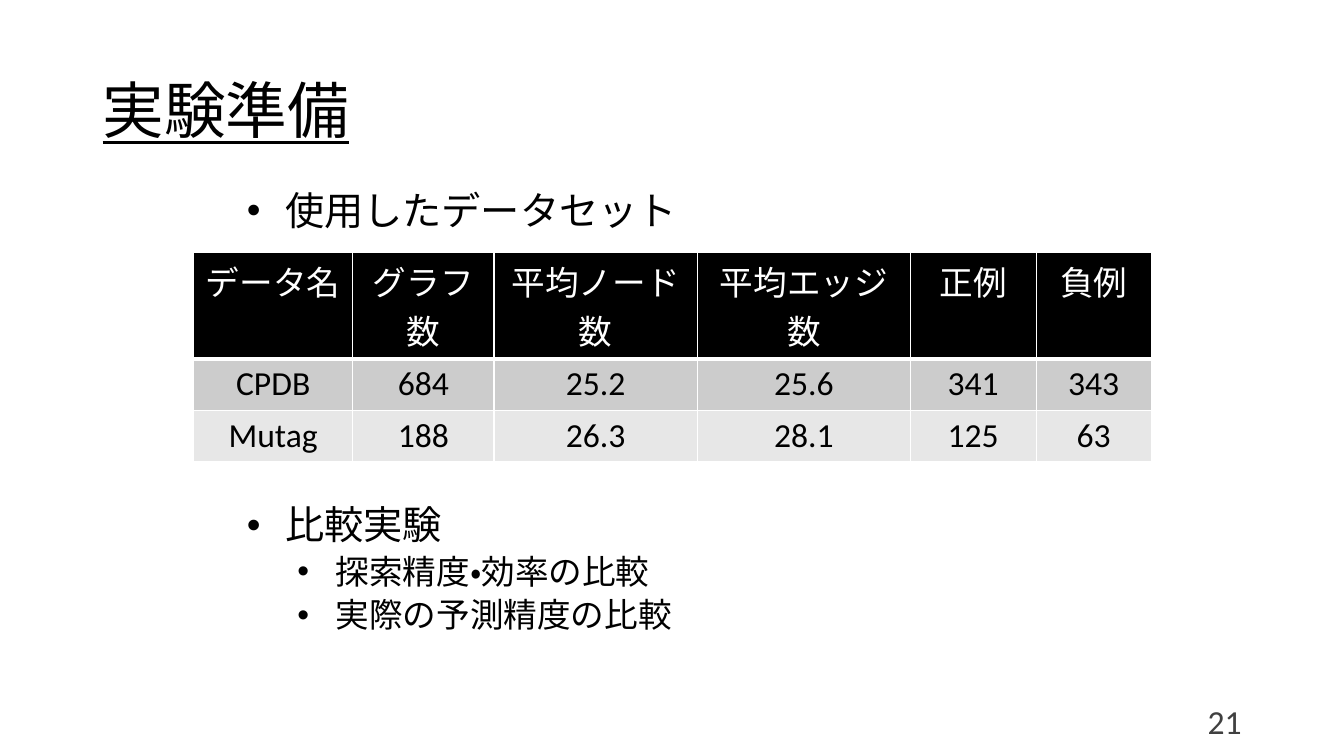
from lxml import etree
from pptx import Presentation
from pptx import util as u
from pptx.dml.color import RGBColor
from pptx.enum import lang, text
from pptx.oxml import ns

COLORS = {
    "ink": "000000",
    "paper": "FFFFFF",
    "number": "404040",
    "cpdb": "CCCCCC",
    "mutag": "E7E7E7",
}

deck = Presentation()
deck.slide_width = u.Inches(13.33)
deck.slide_height = u.Inches(7.5)
slide = deck.slides.add_slide(deck.slide_layouts[6])
column = deck.slide_width / 100
row = deck.slide_height / 100


def add_frame(left, top, width, height, anchor):
    area = slide.shapes.add_textbox(
        round(left * column), round(top * row), round(width * column), round(height * row)
    )
    area.text_frame.word_wrap = True
    area.text_frame.vertical_anchor = anchor
    return area.text_frame


def add_words(paragraph, words, size, color, font="Calibri"):
    run = paragraph.add_run()
    run.text = words
    run.font.name = font
    run.font.size = u.Pt(size)
    run.font.color.rgb = RGBColor.from_string(COLORS[color])
    run.font.language_id = lang.MSO_LANGUAGE_ID.JAPANESE
    return run


heading = add_frame(6.9, 5.33, 86.25, 19.33, text.MSO_ANCHOR.MIDDLE).paragraphs[0]
heading.line_spacing = 0.9
add_words(heading, "実験準備", 44, "ink").font.underline = True

topics = [
    (24.67, 8, [("使用したデータセット", 0)]),
    (66.27, 20, [("比較実験", 0), ("探索精度・効率の比較", 1), ("実際の予測精度の比較", 1)]),
]
for top, height, points in topics:
    topic = add_frame(17.63, top, 64.65, height, text.MSO_ANCHOR.TOP)
    for index, (words, level) in enumerate(points):
        point = topic.add_paragraph() if index else topic.paragraphs[0]
        point.level = level
        point.line_spacing = 0.9
        point.space_before = u.Pt(5 if index else 0)
        properties = point._p.get_or_add_pPr()
        properties.set("marL", str(u.Inches(0.38 + 0.5 * level)))
        properties.set("indent", str(u.Inches(-0.38)))
        etree.SubElement(properties, ns.qn("a:buFont"), typeface="Arial")
        etree.SubElement(properties, ns.qn("a:buChar"), char="•")
        add_words(point, words, 24 if level else 28, "ink", "Arial" if level else "Calibri")

records = [
    ("データ名", "グラフ数", "平均ノード数", "平均エッジ数", "正例", "負例"),
    ("CPDB", "684", "25.2", "25.6", "341", "343"),
    ("Mutag", "188", "26.3", "28.1", "125", "63"),
]
record_styles = [("ink", "paper"), ("cpdb", "ink"), ("mutag", "ink")]
widths = [11.85, 10.5, 15.15, 15.83, 9.38, 8.55]
heights = [14.13, 6.8, 6.8]

datasets = slide.shapes.add_table(
    len(records), len(widths), round(14.4 * column), round(33.33 * row),
    round(sum(widths) * column), round(sum(heights) * row),
).table
for index, width in enumerate(widths):
    datasets.columns[index].width = round(width * column)
for line, (record, (fill, ink)) in enumerate(zip(records, record_styles)):
    datasets.rows[line].height = round(heights[line] * row)
    for index, value in enumerate(record):
        cell = datasets.cell(line, index)
        properties = cell._tc.get_or_add_tcPr()
        for side in ("lnL", "lnR", "lnT", "lnB"):
            thick = (line, side) in [(0, "lnB"), (1, "lnT")]
            border = etree.SubElement(
                properties, ns.qn(f"a:{side}"), w=str(u.Pt(3 if thick else 1))
            )
            paint = etree.SubElement(border, ns.qn("a:solidFill"))
            etree.SubElement(paint, ns.qn("a:srgbClr"), val=COLORS["paper"])
        cell.fill.solid()
        cell.fill.fore_color.rgb = RGBColor.from_string(COLORS[fill])
        entry = cell.text_frame.paragraphs[0]
        entry.alignment = text.PP_ALIGN.CENTER
        add_words(entry, value, 24, ink).font.bold = False

page = add_frame(70.63, 92.67, 22.5, 5.33, text.MSO_ANCHOR.MIDDLE).paragraphs[0]
page.alignment = text.PP_ALIGN.RIGHT
add_words(page, "21", 24, "number")

deck.save("out.pptx")
